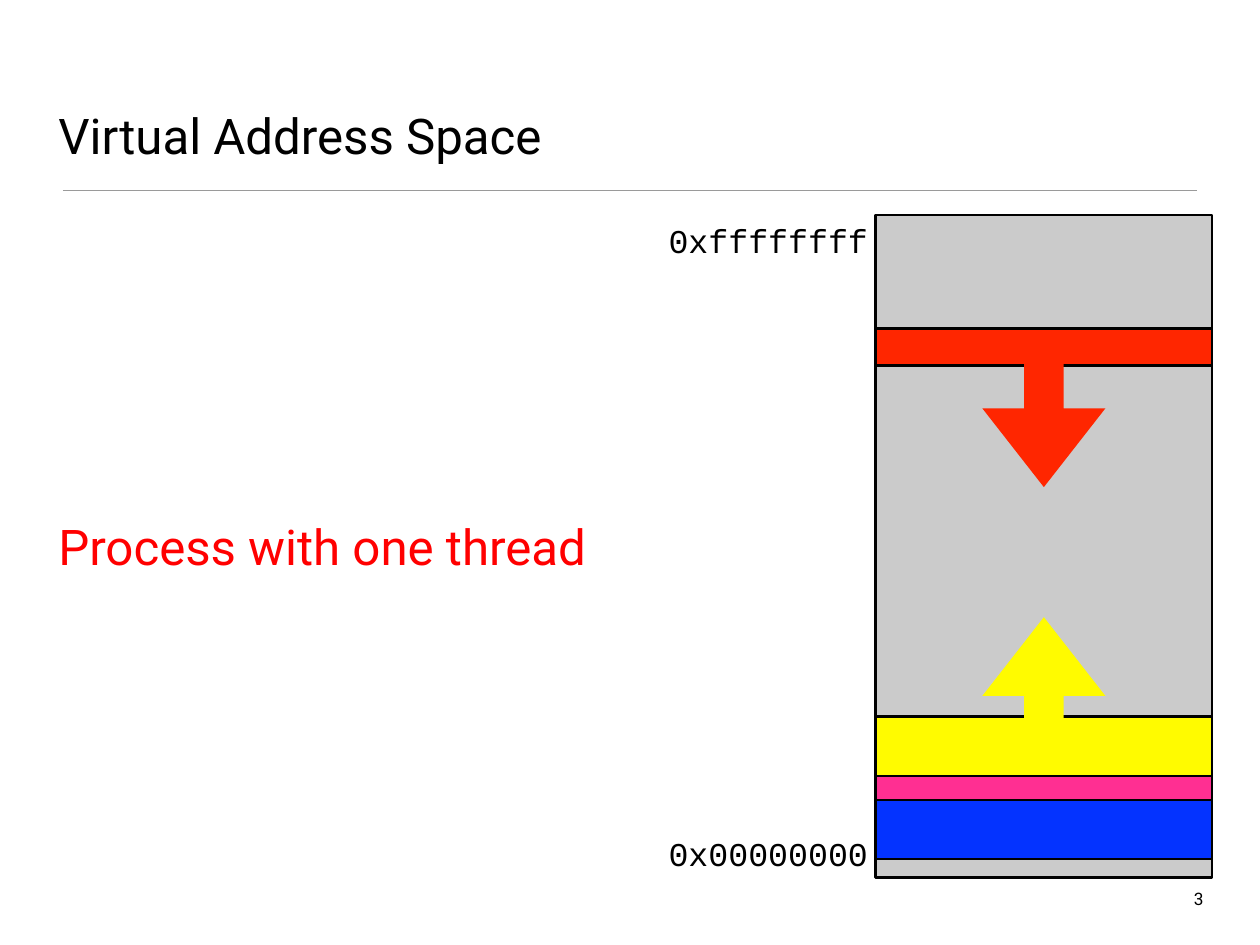
from dataclasses import dataclass

from lxml.etree import SubElement
from pptx import Presentation
from pptx.dml.color import RGBColor
from pptx.enum.shapes import MSO_CONNECTOR as Connector, MSO_SHAPE as Shape
from pptx.enum.text import MSO_ANCHOR as Anchor, MSO_AUTO_SIZE as AutoSize, PP_ALIGN as Align
from pptx.oxml.ns import qn
from pptx.util import Cm, Pt


@dataclass(frozen=True)
class Theme:
    font: str = "Roboto"
    code_font: str = "Courier New"
    heading_size: int = 40
    address_size: int = 27
    number_size: int = 14
    ink: str = "000000"
    accent: str = "FF0000"
    rule: str = "9A9A9A"
    unused: str = "CBCBCB"
    stack: str = "FF2600"
    heap: str = "FFFB00"
    data: str = "FF2F92"
    code: str = "0433FF"


THEME = Theme()


@dataclass(frozen=True)
class Box:
    """A rectangle in centimetres."""
    left: float
    top: float
    width: float
    height: float

    def lengths(self):
        return Cm(self.left), Cm(self.top), Cm(self.width), Cm(self.height)


def color(value):
    return RGBColor.from_string(value)


def write(shape, text, size, font=THEME.font, ink=THEME.ink,
          align=Align.CENTER, anchor=Anchor.MIDDLE, inset=0.15, wrap=False):
    frame = shape.text_frame
    frame.auto_size = AutoSize.NONE
    frame.word_wrap = wrap
    frame.vertical_anchor = anchor
    frame.margin_left = frame.margin_right = Cm(inset)
    frame.margin_top = frame.margin_bottom = Cm(inset)
    paragraph = frame.paragraphs[0]
    paragraph.alignment = align
    run = paragraph.add_run()
    run.text = text
    run.font.name = font
    run.font.size = Pt(size)
    run.font.color.rgb = color(ink)


def add_label(slide, box, text, size, **style):
    write(slide.shapes.add_textbox(*box.lengths()), text, size, **style)


def add_filled(slide, kind, box, fill, outlined=True):
    shape = slide.shapes.add_shape(kind, *box.lengths())
    shape.shadow.inherit = False
    shape.fill.solid()
    shape.fill.fore_color.rgb = color(fill)
    if outlined:
        shape.line.color.rgb = color(THEME.ink)
        shape.line.width = Pt(2)
    else:
        shape.line.fill.background()
    return shape


def add_heading(slide, box):
    # Title
    title = slide.shapes.title
    title.left, title.top, title.width, title.height = box.lengths()
    write(title, "Virtual Address Space", THEME.heading_size,
          align=Align.LEFT, anchor=Anchor.BOTTOM, inset=0.1, wrap=True)

    # Rule below the title
    left, right = box.left + 0.23, box.left + box.width - 0.2
    height = box.top + box.height + 0.66
    rule = slide.shapes.add_connector(
        Connector.STRAIGHT, Cm(left), Cm(height), Cm(right), Cm(height))
    rule.line.color.rgb = color(THEME.rule)
    rule.line.width = Pt(1)
    SubElement(rule._element.spPr, qn("a:effectLst"))


def add_growth_arrow(slide, kind, center, top, fill):
    size = 3.53
    arrow = add_filled(slide, kind, Box(center - size / 2, top, size, size),
                       fill, outlined=False)
    arrow.adjustments[0] = 0.32
    arrow.adjustments[1] = 0.64


def add_address_space(slide, box):
    # Whole address range
    add_filled(slide, Shape.RECTANGLE, box, THEME.unused)

    # Segments, as offset from the top and height
    segments = [
        (16.77, 1.7, THEME.code),
        (16.08, 0.69, THEME.data),
        (14.38, 1.7, THEME.heap),
        (3.25, 1.07, THEME.stack),
    ]
    for offset, height, fill in segments:
        segment = Box(box.left, box.top + offset, box.width, height)
        add_filled(slide, Shape.RECTANGLE, segment, fill)

    # Growth of stack and heap
    center = box.left + box.width / 2
    add_growth_arrow(slide, Shape.DOWN_ARROW, center, box.top + 4.27, THEME.stack)
    add_growth_arrow(slide, Shape.UP_ARROW, center, box.top + 11.53, THEME.heap)

    # Highest and lowest address
    for offset, address in ((0, "0xffffffff"), (17.6, "0x00000000")):
        label = Box(box.left - 6.1, box.top + offset, 6.05, 1.42)
        add_label(slide, label, address, THEME.address_size, font=THEME.code_font)


def add_caption(slide, box):
    add_label(slide, box, "Process with one thread", THEME.heading_size,
              ink=THEME.accent)


def add_page_number(slide, box):
    add_label(slide, box, "3", THEME.number_size,
              align=Align.RIGHT, anchor=Anchor.TOP, inset=0.1)


def main():
    presentation = Presentation()
    presentation.slide_width = Cm(36.12)
    presentation.slide_height = Cm(27.1)
    slide = presentation.slides.add_slide(presentation.slide_layouts[5])

    add_heading(slide, Box(1.57, 0.91, 32.94, 3.89))
    add_address_space(slide, Box(25.1, 6.17, 9.65, 19))
    add_caption(slide, Box(1.45, 14.66, 15.57, 2))
    add_page_number(slide, Box(33.81, 25.37, 0.79, 0.76))

    presentation.save("out.pptx")


if __name__ == "__main__":
    main()
